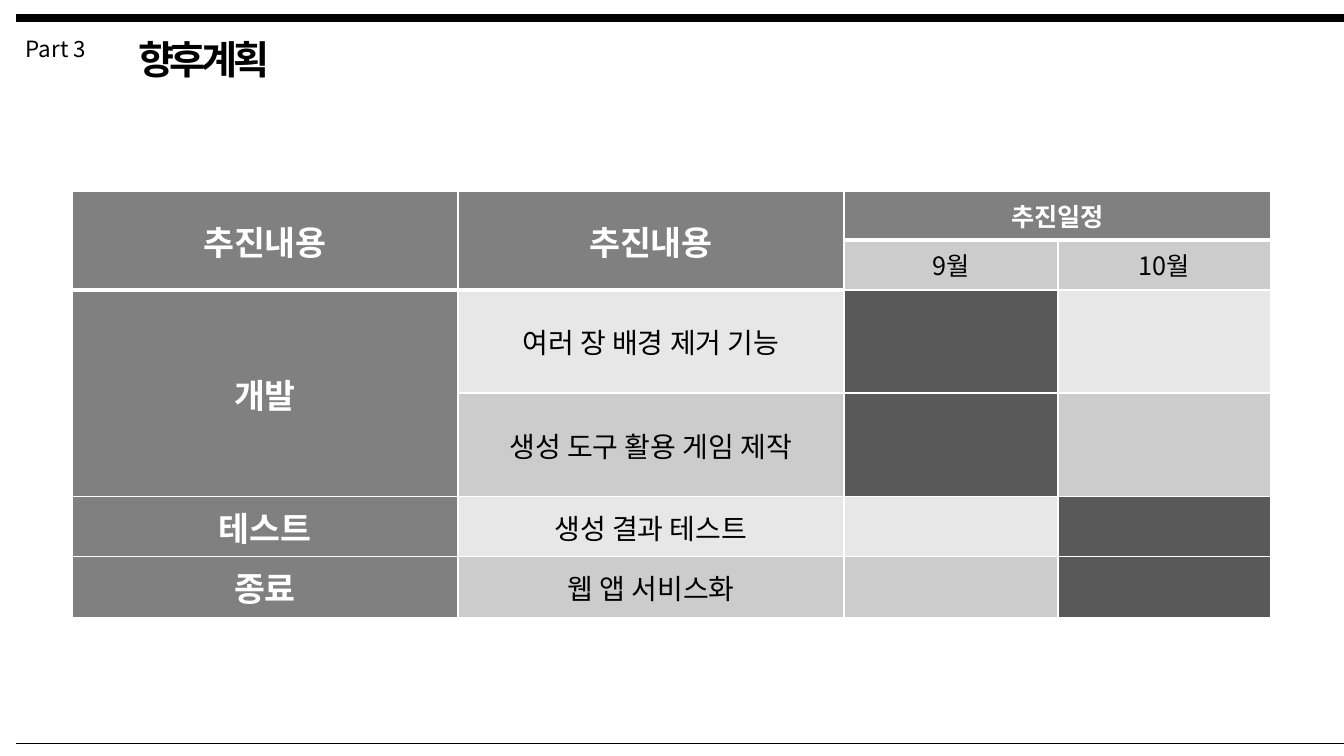
"""Builds the future-plan slide with its schedule table."""
from dataclasses import dataclass

from lxml.etree import SubElement
from pptx import Presentation
from pptx.dml.color import RGBColor
from pptx.enum.shapes import MSO_CONNECTOR
from pptx.enum.text import MSO_ANCHOR, MSO_AUTO_SIZE, PP_ALIGN
from pptx.oxml.ns import qn
from pptx.util import Emu, Pt

SECTION = "Part 3"
TITLE = "향후계획"
ROWS = [
    ["추진내용", "추진내용", "추진일정", ""],
    ["", "", "9월", "10월"],
    ["개발", "여러 장 배경 제거 기능", "", ""],
    ["", "생성 도구 활용 게임 제작", "", ""],
    ["테스트", "생성 결과 테스트", "", ""],
    ["종료", "웹 앱 서비스화", "", ""],
]
MERGES = [((0, 0), (1, 0)), ((0, 1), (1, 1)), ((0, 2), (0, 3)), ((2, 0), (3, 0))]
SCHEDULED = {(2, 2), (3, 2), (4, 3), (5, 3)}
COL_WIDTHS = [386, 386, 214, 213]
ROW_HEIGHTS = [49, 50, 103, 104, 60, 61]
TABLE_LEFT, TABLE_TOP = 72, 191
RULES = [(18, 6), (743, 0.25)]
RULE_LEFT = 16
SLIDE_W, SLIDE_H = 1344, 756
SCALE = 12192000 / SLIDE_W


@dataclass(frozen=True)
class Theme:
    """Colours, font and type sizes."""
    font: str = "Noto Sans CJK KR"
    ink: str = "000000"
    white: str = "FFFFFF"
    header: str = "808080"
    light: str = "E7E7E7"
    mid: str = "CCCCCC"
    scheduled: str = "595959"
    title: int = 28
    head: int = 24
    body: int = 20
    month: int = 18
    section: int = 16


T = Theme()


def px(n):
    return Emu(round(n * SCALE))


def add_text(p, text, size, color, bold=False, spacing=None):
    r = p.add_run()
    r.text = text
    r.font.size = Pt(size)
    r.font.bold = bold
    r.font.color.rgb = RGBColor.from_string(color)
    r.font.name = T.font
    rPr = r._r.get_or_add_rPr()
    SubElement(rPr, qn("a:ea"), typeface=T.font)
    if spacing is not None:
        rPr.set("spc", str(spacing))


def place_label(sp, box, *run):
    sp.left, sp.top, sp.width, sp.height = map(px, box)
    tf = sp.text_frame
    tf.word_wrap = False
    tf.auto_size = MSO_AUTO_SIZE.SHAPE_TO_FIT_TEXT
    tf.vertical_anchor = MSO_ANCHOR.TOP
    p = tf.paragraphs[0]
    p.alignment = PP_ALIGN.LEFT
    p.line_spacing = 1.0
    add_text(p, *run)


def add_rule(s, y, weight):
    line = s.shapes.add_connector(MSO_CONNECTOR.STRAIGHT, px(RULE_LEFT), px(y), px(SLIDE_W), px(y))
    line.line.color.rgb = RGBColor.from_string(T.ink)
    line.line.width = Pt(weight)
    SubElement(line._element.spPr, qn("a:effectLst"))


def is_column_head(row, col):
    return row == 0 or (row == 1 and col < 2)


def is_header(row, col):
    return col == 0 or is_column_head(row, col)


def cell_fill(row, col):
    if is_header(row, col):
        return T.header
    if (row, col) in SCHEDULED:
        return T.scheduled
    return T.mid if row % 2 else T.light


def add_borders(cell, row, col):
    tcPr = cell._tc.get_or_add_tcPr()
    top = 3 if row and is_column_head(row - 1, col) else 1
    bottom = 3 if is_column_head(row, col) else 1
    for side, weight in (("L", 1), ("R", 1), ("T", top), ("B", bottom)):
        ln = SubElement(tcPr, qn(f"a:ln{side}"), w=str(Pt(weight)))
        fill = SubElement(ln, qn("a:solidFill"))
        SubElement(fill, qn("a:srgbClr"), val=T.white)


def format_cell(cell, row, col, text):
    add_borders(cell, row, col)
    cell.fill.solid()
    cell.fill.fore_color.rgb = RGBColor.from_string(cell_fill(row, col))
    cell.vertical_anchor = MSO_ANCHOR.MIDDLE
    cell.margin_left = cell.margin_right = px(7)
    cell.margin_top = cell.margin_bottom = 0
    if text:
        p = cell.text_frame.paragraphs[0]
        p.alignment = PP_ALIGN.CENTER
        header = is_header(row, col)
        size = T.month if col > 1 else T.head if header else T.body
        add_text(p, text, size, T.white if header else T.ink, header)


def add_schedule(s):
    frame = s.shapes.add_table(len(ROWS), len(COL_WIDTHS), px(TABLE_LEFT), px(TABLE_TOP),
                               px(sum(COL_WIDTHS)), px(sum(ROW_HEIGHTS)))
    table = frame.table
    table.first_row = table.horz_banding = False
    for column, width in zip(table.columns, COL_WIDTHS):
        column.width = px(width)
    for row, height in zip(table.rows, ROW_HEIGHTS):
        row.height = px(height)
    for row, texts in enumerate(ROWS):
        for col, text in enumerate(texts):
            format_cell(table.cell(row, col), row, col, text)
    for first, last in MERGES:
        table.cell(*first).merge(table.cell(*last))


def main():
    prs = Presentation()
    prs.slide_width, prs.slide_height = px(SLIDE_W), px(SLIDE_H)
    s = prs.slides.add_slide(prs.slide_layouts[5])
    place_label(s.shapes.title, (128, 30, 161, 57), TITLE, T.title, T.ink, True, -300)
    place_label(s.shapes.add_textbox(0, 0, 0, 0), (16, 30, 82, 37), SECTION, T.section, T.ink)
    for y, weight in RULES:
        add_rule(s, y, weight)
    add_schedule(s)
    prs.save("out.pptx")


if __name__ == "__main__":
    main()
